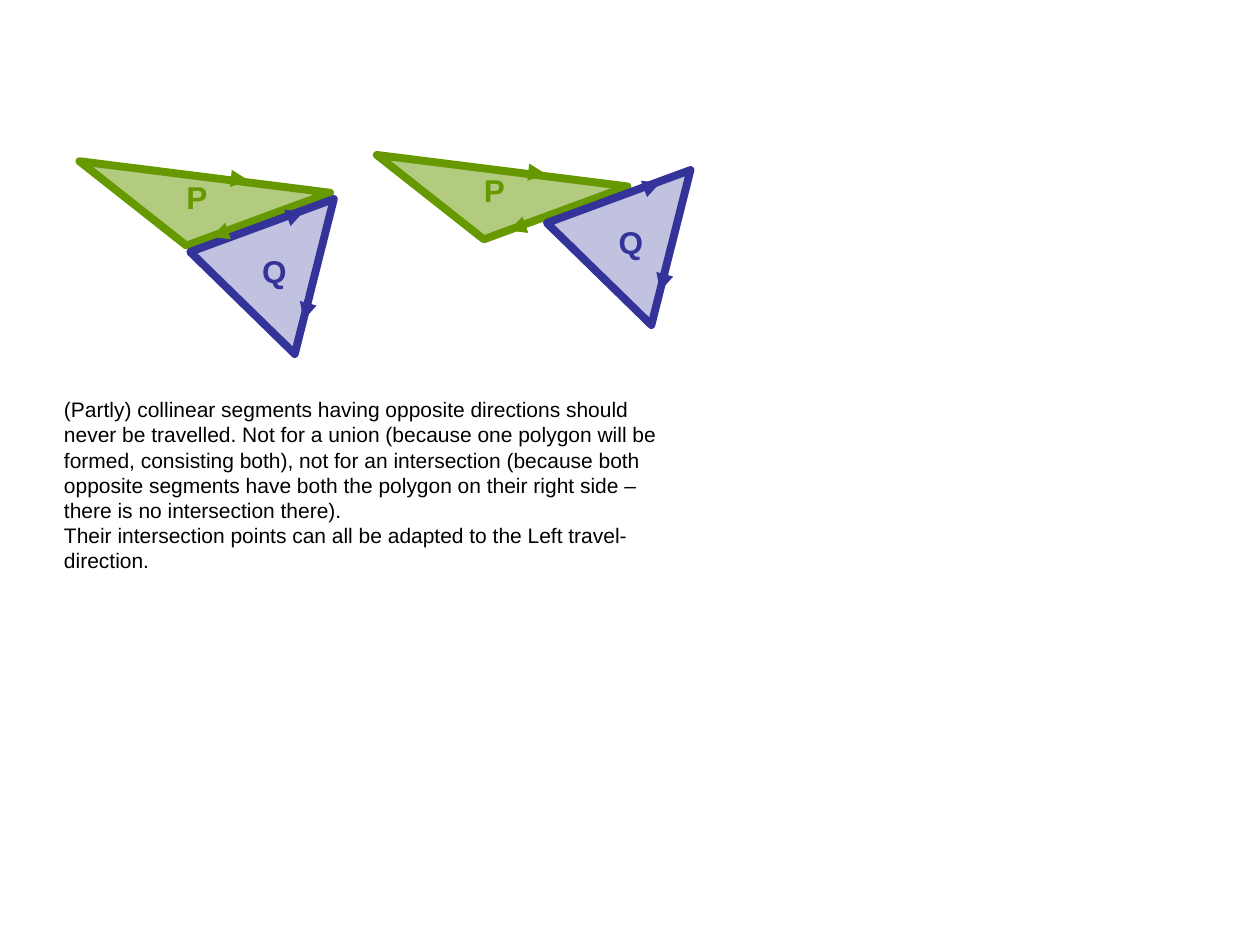
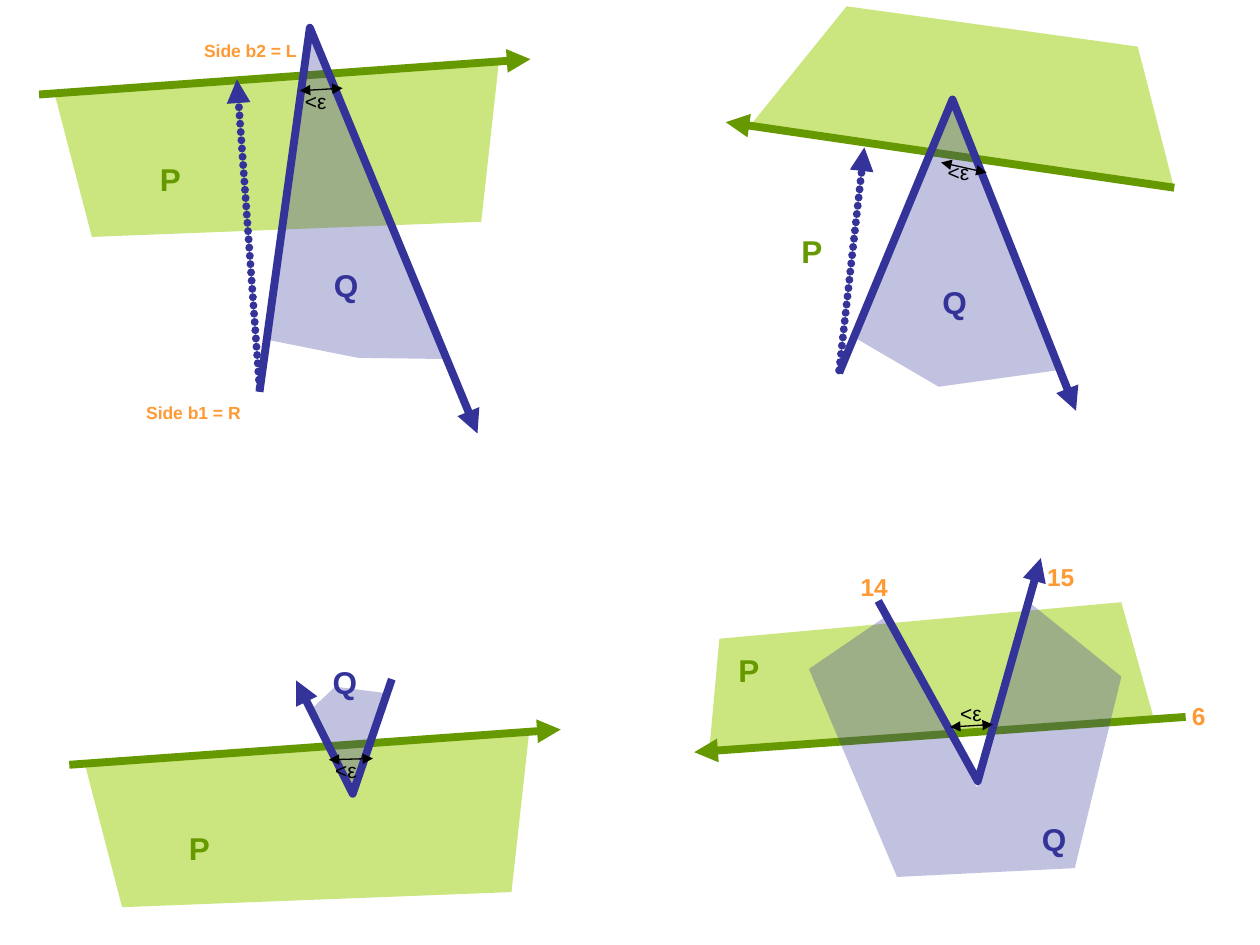
from pptx import Presentation
from pptx.dml.color import RGBColor
from pptx.enum import shapes, text
from pptx.oxml import ns, xmlchemy
from pptx.util import Inches, Pt

GREEN = RGBColor(0x66, 0x99, 0x00)
LIME = RGBColor(0x99, 0xCC, 0x00)
NAVY = RGBColor(0x33, 0x33, 0x99)
ORANGE = RGBColor(0xFF, 0x99, 0x33)
BLACK = RGBColor(0, 0, 0)
FONT = "Arial"
BOLD = 4.5

NOTES = [
    "(Partly) collinear segments having opposite directions should never be "
    "travelled. Not for a union (because one polygon will be formed, consisting "
    "both), not for an intersection (because both opposite segments have both "
    "the polygon on their right side – there is no intersection there).",
    "Their intersection points can all be adapted to the Left travel-direction.",
]

SLAB = [(0.43, 0.73), (0.73, 1.88), (3.82, 1.76), (3.96, 0.49)]
EDGE = [(0.31, 0.75), (4.21, 0.47)]
DROP = (0.24, 5.32)


def shift(points, move):
    return [(x + move[0], y + move[1]) for x, y in points]


def add_xml(parent, tag, **attrs):
    child = xmlchemy.OxmlElement(tag)
    for key, value in attrs.items():
        child.set(key, str(value))
    parent.append(child)
    return child


def style_line(line, color, width, ends="", size="med", dotted=False):
    line.color.rgb = color
    line.width = Pt(width)
    ln = line._get_or_add_ln()
    if dotted:
        ln.set("cap", "rnd")
        dash = add_xml(ln, "a:custDash")
        add_xml(dash, "a:ds", d=100000, sp=5000)
    add_xml(ln, "a:round")
    for end in ends.split():
        add_xml(ln, f"a:{end}End", type="triangle", w=size, len=size)


def trace(slide, points, close):
    pts = [(Inches(x), Inches(y)) for x, y in points]
    pen = slide.shapes.build_freeform(*pts[0], scale=1.0)
    pen.add_line_segments(pts[1:], close=close)
    shape = pen.convert_to_shape()
    shape.shadow.inherit = False
    return shape


def add_area(slide, points, color, alpha, edged=False):
    shape = trace(slide, points, True)
    shape.fill.solid()
    shape.fill.fore_color.rgb = color
    tint = shape._element.spPr.find(".//" + ns.qn("a:srgbClr"))
    add_xml(tint, "a:alpha", val=alpha * 1000)
    if edged:
        style_line(shape.line, color, BOLD)
    else:
        shape.line.fill.background()


def add_bend(slide, points):
    shape = trace(slide, points, False)
    shape.fill.background()
    style_line(shape.line, NAVY, BOLD, "tail")


def add_arrow(slide, points, color, width=BOLD, ends="tail", size="med", dotted=False):
    (x1, y1), (x2, y2) = points
    arrow = slide.shapes.add_connector(
        shapes.MSO_CONNECTOR.STRAIGHT, Inches(x1), Inches(y1), Inches(x2), Inches(y2))
    add_xml(arrow._element.spPr, "a:effectLst")
    style_line(arrow.line, color, width, ends, size, dotted)


def set_font(para, size, color, bold):
    for run in para.runs:
        run.font.name = FONT
        run.font.size = Pt(size)
        run.font.bold = bold
        run.font.color.rgb = color


def add_label(slide, words, spot, wide, size, color, bold=True):
    box = slide.shapes.add_textbox(
        Inches(spot[0]), Inches(spot[1]), Inches(wide), Pt(size * 1.2))
    frame = box.text_frame
    frame.margin_left = frame.margin_right = 0
    frame.margin_top = frame.margin_bottom = 0
    frame.word_wrap = False
    frame.auto_size = text.MSO_AUTO_SIZE.SHAPE_TO_FIT_TEXT
    frame.text = words
    set_font(frame.paragraphs[0], size, color, bold)


def label_p(slide, spot):
    add_label(slide, "P", spot, 0.17, 18, GREEN)


def label_q(slide, spot):
    add_label(slide, "Q", spot, 0.2, 18, NAVY)


def add_notes(slide):
    box = slide.shapes.add_textbox(Inches(0.41), Inches(3.1), Inches(5.14), Inches(1.5))
    frame = box.text_frame
    frame.word_wrap = True
    frame.text = "\n".join(NOTES)
    for para in frame.paragraphs:
        set_font(para, 12, BLACK, False)


def add_pair(slide, p_move, q_move):
    add_area(slide, shift([(2.62, 1.53), (1.48, 1.95), (0.63, 1.28)], p_move),
             GREEN, 50, True)
    add_area(slide, shift([(1.51, 2), (2.65, 1.58), (2.34, 2.81)], q_move),
             NAVY, 30, True)
    marks = [
        ([(2.38, 1.63), (1.68, 1.88)], p_move, GREEN),
        ([(1.18, 1.35), (1.97, 1.43)], p_move, GREEN),
        ([(2.57, 1.95), (2.41, 2.54)], q_move, NAVY),
        ([(1.76, 1.93), (2.41, 1.68)], q_move, NAVY),
    ]
    for points, move, color in marks:
        add_arrow(slide, shift(points, move), color, 1, size="lg")
    label_p(slide, shift([(1.48, 1.41)], p_move)[0])
    label_q(slide, shift([(2.08, 2)], q_move)[0])


def add_case(slide, slab, p_spot, edge, bend, area, q_spot, gap, gap_spot):
    add_area(slide, slab, LIME, 50)
    label_p(slide, p_spot)
    add_arrow(slide, edge, GREEN)
    add_bend(slide, bend)
    add_area(slide, area, NAVY, 30)
    label_q(slide, q_spot)
    add_arrow(slide, gap, BLACK, 0.75, "head tail")
    add_label(slide, "<ε", gap_spot, 0.19, 12, BLACK, False)


def draw_pairs(slide):
    add_pair(slide, (0, 0), (0, 0))
    add_pair(slide, (2.36, -0.05), (2.83, -0.23))
    add_notes(slide)


def draw_cases(slide):
    add_case(
        slide, SLAB, (1.27, 1.27), EDGE,
        bend=[(2.06, 3.11), (2.46, 0.22), (3.79, 3.44)],
        area=[(2.84, 2.84), (2.14, 2.7), (2.47, 0.24), (3.55, 2.85)],
        q_spot=(2.65, 2.11), gap=[(2.72, 0.7), (2.38, 0.72)], gap_spot=(2.42, 0.7))
    add_case(
        slide, [(5.96, 0.99), (6.72, 0.05), (9.03, 0.37), (9.31, 1.46)],
        (6.36, 1.84), [(9.32, 1.49), (5.76, 0.97)],
        bend=[(6.66, 2.96), (7.56, 0.79), (8.54, 3.26)],
        area=[(7.45, 3.07), (6.8, 2.69), (7.57, 0.81), (8.39, 2.94)],
        q_spot=(7.48, 2.25), gap=[(7.83, 1.37), (7.47, 1.29)], gap_spot=(7.52, 1.27))
    add_case(
        slide, shift(SLAB, DROP), (1.5, 6.58), shift(EDGE, DROP),
        bend=[(3.11, 5.39), (2.8, 6.3), (2.35, 5.4)],
        area=[(2.66, 5.45), (2.47, 5.63), (2.81, 6.32), (3.05, 5.5)],
        q_spot=(2.64, 5.26), gap=[(2.96, 6.02), (2.61, 6.03)], gap_spot=(2.66, 6.01))
    add_case(
        slide, [(5.63, 5.95), (5.71, 5.07), (8.9, 4.78), (9.16, 5.71)],
        (5.86, 5.17), [(9.41, 5.69), (5.51, 5.97)],
        bend=[(6.97, 4.77), (7.76, 6.2), (8.26, 4.43)],
        area=[(8.9, 5.37), (8.53, 6.89), (7.12, 6.96), (6.42, 5.31),
              (7.02, 4.9), (7.75, 6.25), (8.18, 4.79)],
        q_spot=(8.27, 6.51), gap=[(7.88, 5.75), (7.54, 5.77)], gap_spot=(7.62, 5.56))
    for points in ([(2.06, 3.08), (1.88, 0.63)], [(6.66, 2.94), (6.86, 1.17)]):
        add_arrow(slide, points, NAVY, dotted=True)
    tags = [
        ("Side b2 = L", (1.62, 0.32), 0.74, 10),
        ("Side b1 = R", (1.16, 3.19), 0.75, 10),
        ("14", (6.83, 4.54), 0.22, 14),
        ("15", (8.31, 4.46), 0.22, 14),
        ("6", (9.46, 5.56), 0.11, 14),
    ]
    for words, spot, wide, size in tags:
        add_label(slide, words, spot, wide, size, ORANGE)


def main():
    deck = Presentation()
    deck.slide_width = Inches(10)
    deck.slide_height = Inches(7.5)
    blank = deck.slide_layouts[6]
    for draw in (draw_pairs, draw_cases):
        draw(deck.slides.add_slide(blank))
    deck.save("out.pptx")


if __name__ == "__main__":
    main()
